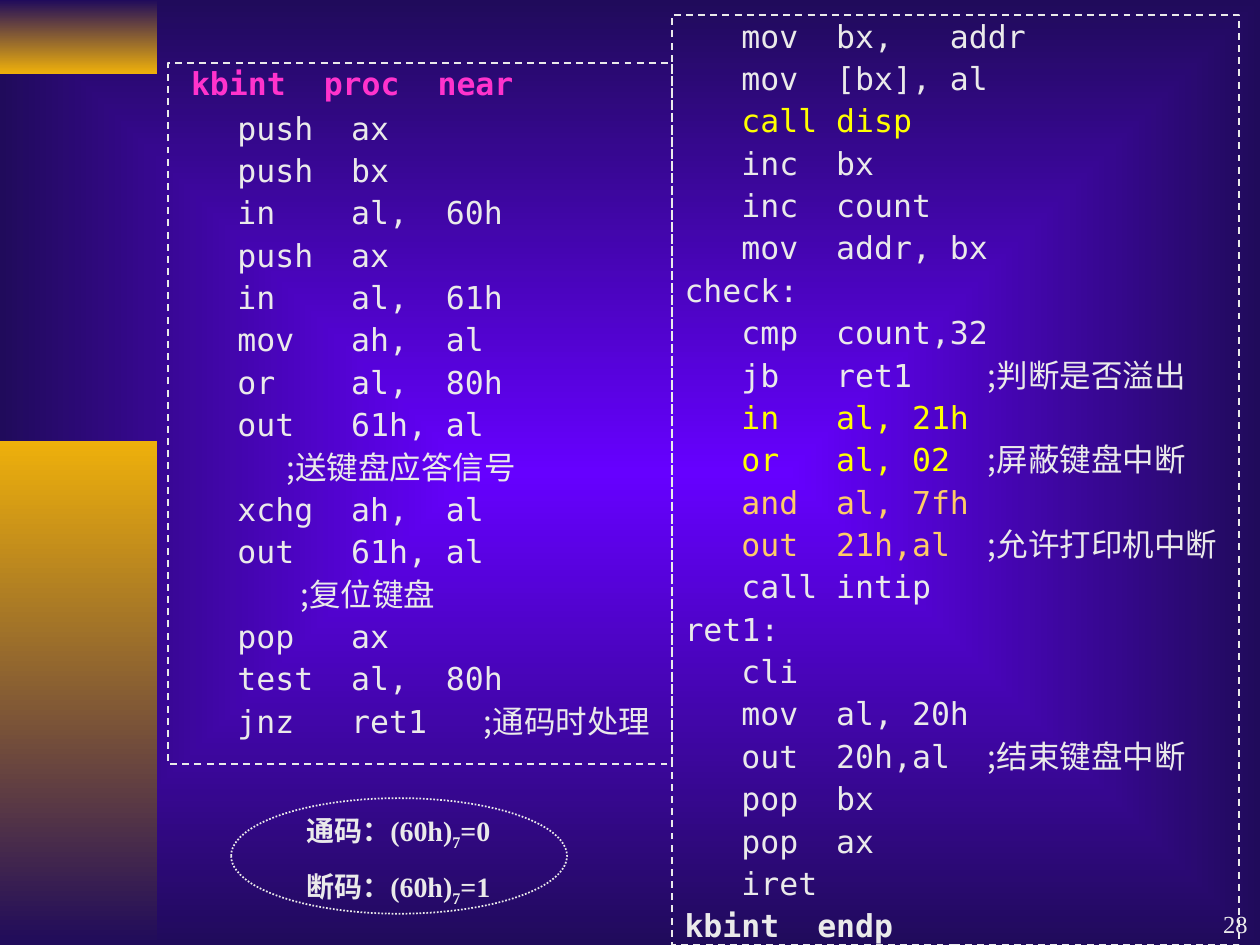
import pptx
import pptx.util
import pptx.dml.color
import pptx.enum.dml
import pptx.enum.shapes
import pptx.enum.text
from lxml import etree

Cm, Pt = pptx.util.Cm, pptx.util.Pt
SHAPES = pptx.enum.shapes.MSO_SHAPE
DASHES = pptx.enum.dml.MSO_LINE
ALIGN = pptx.enum.text.PP_ALIGN
ANCHOR = pptx.enum.text.MSO_ANCHOR

MONO, CHINESE, SERIF = "DejaVu Sans Mono", "Noto Sans CJK SC", "Times New Roman"
PALE, PINK, YELLOW, ORANGE = "EAEAEA", "FF33CC", "FFFF00", "FFCC66"
NAVY, VIOLET, GOLD = "200B5B", "6600FF", "EEB00B"

# Content: code lines, the text after a semicolon being a comment
PROC_HEADER = "kbint  proc  near"
LEFT_CODE = [
    "   push  ax",
    "   push  bx",
    "   in    al,  60h",
    "   push  ax",
    "   in    al,  61h",
    "   mov   ah,  al",
    "   or    al,  80h",
    "   out   61h, al",
    "               ;送键盘应答信号",
    "   xchg  ah,  al",
    "   out   61h, al",
    "                 ;复位键盘",
    "   pop   ax",
    "   test  al,  80h",
    "   jnz   ret1   ;通码时处理",
]
RIGHT_CODE = [
    "   mov  bx,   addr",
    "   mov  [bx], al",
    "   call disp",
    "   inc  bx",
    "   inc  count",
    "   mov  addr, bx",
    "check:",
    "   cmp  count,32",
    "   jb   ret1    ;判断是否溢出",
    "   in   al, 21h",
    "   or   al, 02  ;屏蔽键盘中断",
    "   and  al, 7fh",
    "   out  21h,al  ;允许打印机中断",
    "   call intip",
    "ret1:",
    "   cli",
    "   mov  al, 20h",
    "   out  20h,al  ;结束键盘中断",
    "   pop  bx",
    "   pop  ax",
    "   iret",
]
PROC_END = "kbint  endp"
HIGHLIGHTS = {"call disp": YELLOW, "in   al, 21h": YELLOW, "or   al, 02": YELLOW,
              "and  al, 7fh": ORANGE, "out  21h,al": ORANGE}
SCAN_CODES = [("通码：(60h)", "7", "=0"), ("断码：(60h)", "7", "=1")]
PAGE_NUMBER = "28"


def rgb(value):
    return pptx.dml.color.RGBColor.from_string(value)


def set_gradient(fill, first, last):
    fill.gradient()
    for stop, colour in zip(fill.gradient_stops, (first, last)):
        stop.color.rgb = rgb(colour)


def add_outline(kind, box, dash):
    shape = slide.shapes.add_shape(kind, *map(Cm, box))
    shape.shadow.inherit = False
    shape.fill.background()
    shape.line.color.rgb = rgb(PALE)
    shape.line.width = Pt(1)
    shape.line.dash_style = dash


def add_text(box, top_inset=0.13, anchor=ANCHOR.TOP):
    frame = slide.shapes.add_textbox(*map(Cm, box)).text_frame
    frame.word_wrap = True
    frame.vertical_anchor = anchor
    frame.margin_top = Cm(top_inset)
    frame.margin_right = Cm(0)
    return frame


def add_paragraph(frame, runs, line_height, gap, align=ALIGN.LEFT):
    """Each run is (text, font, size, colour, bold, baseline)."""
    first = not frame.paragraphs[0].runs
    paragraph = frame.paragraphs[0] if first else frame.add_paragraph()
    paragraph.alignment = align
    paragraph.line_spacing = Pt(line_height)
    paragraph.space_before = Pt(0 if first else gap)
    for text, font, size, colour, bold, baseline in runs:
        run = paragraph.add_run()
        run.text = text
        run.font.name, run.font.size, run.font.bold = font, Pt(size), bold
        run.font.color.rgb = rgb(colour)
        properties = run.font._element
        etree.SubElement(properties, pptx.oxml.ns.qn("a:ea"), typeface=CHINESE)
        if baseline:
            properties.set("baseline", str(baseline * 1000))


def add_code(frame, runs):
    add_paragraph(frame, runs, 13, 11.2, ALIGN.JUSTIFY)


def code_runs(line):
    code, mark, comment = line.partition(";")
    if not code.strip():
        return [(line, CHINESE, 18, PALE, False, 0)]
    colour = HIGHLIGHTS.get(code.strip(), PALE)
    runs = [(code, MONO, 18, colour, False, 0)]
    if mark:
        runs.append((mark + comment, CHINESE, 18, PALE, False, 0))
    return runs


presentation = pptx.Presentation()
presentation.slide_width, presentation.slide_height = Cm(25.4), Cm(19.05)
slide = presentation.slides.add_slide(presentation.slide_layouts[6])

# Background glowing from the centre
background = slide.background.fill
set_gradient(background, VIOLET, NAVY)
gradient = slide.background._cSld.find(".//" + pptx.oxml.ns.qn("a:gradFill"))
gradient.remove(gradient.find(pptx.oxml.ns.qn("a:lin")))
glow = etree.SubElement(gradient, pptx.oxml.ns.qn("a:path"), path="rect")
etree.SubElement(glow, pptx.oxml.ns.qn("a:fillToRect"),
                 {side: "50000" for side in "ltrb"})

# Gold bars on the left edge
for top, height, first, last in [(0, 1.48, NAVY, GOLD), (8.89, 10.16, GOLD, NAVY)]:
    bar = slide.shapes.add_shape(SHAPES.RECTANGLE, Cm(0), Cm(top), Cm(3.17), Cm(height))
    bar.shadow.inherit = False
    bar.line.fill.background()
    set_gradient(bar.fill, first, last)
    bar.fill.gradient_angle = 270

# Left code column
left_box = (3.39, 1.27, 10.16, 14.14)
add_outline(SHAPES.RECTANGLE, left_box, DASHES.DASH)
left_frame = add_text(left_box, 0.37)
add_code(left_frame, [(" ", SERIF, 24, PALE, False, 0),
                      (PROC_HEADER, MONO, 18, PINK, True, 0)])
for line in LEFT_CODE:
    add_code(left_frame, code_runs(line))

# Scan code note in an ellipse
note_frame = add_text((5.93, 16.31, 4.45, 2.16), 0.08)
for label, bit, value in SCAN_CODES:
    add_paragraph(note_frame, [(label, SERIF, 16, PALE, True, 0),
                               (bit, SERIF, 16, PALE, True, -25),
                               (value, SERIF, 16, PALE, True, 0)], 22, 10)
add_outline(SHAPES.OVAL, (4.66, 16.09, 6.77, 2.33), DASHES.ROUND_DOT)

# Right code column
right_frame = add_text((13.55, 0.46, 11.43, 18.64), 0.18)
for line in RIGHT_CODE:
    add_code(right_frame, code_runs(line))
add_code(right_frame, [(PROC_END, MONO, 18, PALE, True, 0)])
add_outline(SHAPES.RECTANGLE, (13.55, 0.3, 11.43, 18.75), DASHES.DASH)

# Page number
page_frame = add_text((20.11, 17.78, 5.29, 1.27), anchor=ANCHOR.BOTTOM)
page_frame.margin_right = Cm(0.25)
add_paragraph(page_frame, [(PAGE_NUMBER, SERIF, 14, PALE, False, 0)], 16, 0, ALIGN.RIGHT)

presentation.save("out.pptx")
